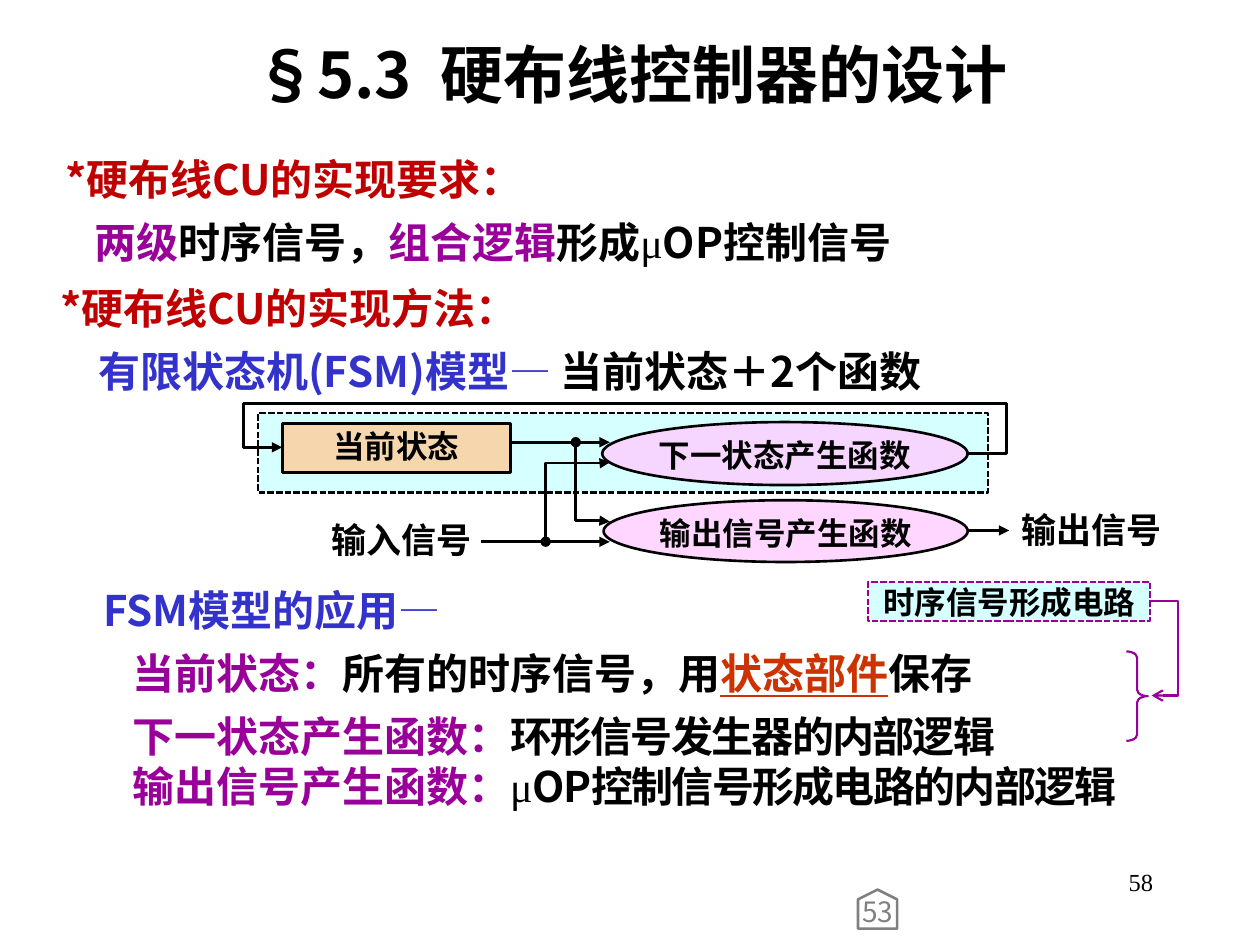
from lxml.etree import SubElement
from pptx import Presentation
from pptx.dml.color import RGBColor
from pptx.enum.dml import MSO_LINE
from pptx.enum.shapes import MSO_CONNECTOR, MSO_SHAPE
from pptx.enum.text import MSO_ANCHOR, MSO_AUTO_SIZE, PP_ALIGN
from pptx.oxml.ns import qn
from pptx.util import Inches, Pt


class Theme:
    sans, serif = "Noto Sans CJK SC", "Times New Roman"
    black, red, purple, blue = "000000", "C00000", "990099", "3333CC"
    rust, gray = "CC3300", "808080"
    aqua, peach, pink = "CCFFFF", "FFCC99", "FFCCFF"
    title, body, label, node, tag, page = 36, 24, 20, 18, 16, 14
    thick, thin = 1.5, 1.25


T = Theme
MID, TOP = MSO_ANCHOR.MIDDLE, MSO_ANCHOR.TOP
TIGHT = (0.02, 0.01, 0.02, 0.01)
SERIF = {"font": T.serif, "bold": False}

# Content: (box, [(indent, line spacing, [(text, colour, extras)])])
TITLE = [("§5.3", T.black, {}), (" ", T.black, {"gap": 8}),
         ("硬布线控制器的设计", T.black, {})]
BODY = [
    ((0.2, 1.07, 9.61, 1.11), [
        (0.22, 1.25, [("*硬布线CU的实现要求：", T.red, {})]),
        (0.45, 1.25, [("两级", T.purple, {"font": T.serif}),
                      ("时序信号，", T.black, {"font": T.serif}),
                      ("组合逻辑", T.purple, {}), ("形成", T.black, {}),
                      ("μ", T.black, SERIF), ("OP控制信号", T.black, {})]),
    ]),
    ((0.16, 2.09, 9.61, 1.11), [
        (0.22, 1.25, [("*硬布线CU的实现方法：", T.red, {})]),
        (0.52, 1.25, [("有限状态机(FSM)模型", T.blue, {}), ("— ", T.blue, SERIF),
                      ("当前状态＋2个函数", T.black, {})]),
    ]),
    ((0.2, 4.49, 9.61, 2.02), [
        (0.52, 1.25, [("FSM模型的应用", T.blue, {}), ("—", T.blue, SERIF)]),
        (0.75, 1.25, [("当前状态：", T.purple, {}),
                      ("所有的时序信号，用", T.black, {}),
                      ("状态部件", T.rust, {"under": True}),
                      ("保存", T.black, {})]),
        (0.75, 1.25, [("下一状态产生函数：", T.purple, {}),
                      ("环形信号发生器的内部逻辑", T.black, {"gap": -1})]),
        (0.75, 1.0, [("输出信号产生函数：", T.purple, {}),
                     ("μ", T.black, dict(SERIF, gap=-1)),
                     ("OP控制信号形成电路的内部逻辑", T.black, {"gap": -1})]),
    ]),
]
LABELS = [("输入信号", (2.56, 4.11, 1.26, 0.35)),
          ("输出信号", (7.99, 4.03, 1.35, 0.35))]
STATE = ("当前状态", (2.24, 3.36, 1.81, 0.39))
OVALS = [("下一状态产生函数", (4.78, 3.35, 2.9, 0.5)),
         ("输出信号产生函数", (4.79, 3.97, 2.89, 0.49))]
TIMING = ("时序信号形成电路", (6.89, 4.62, 2.24, 0.31))

# Links: start, end, options
LINKS = [
    ((4.06, 3.51), (4.84, 3.51), {"tail": "triangle"}),
    ((4.57, 3.51), (4.84, 4.14), {"bend": 3, "turn": 270, "flip": "H", "adj": [0.99],
                                  "head": "oval", "tail": "triangle"}),
    ((3.82, 4.3), (4.84, 4.3), {"tail": "triangle"}),
    ((4.33, 4.3), (4.84, 3.67), {"bend": 3, "turn": 90, "flip": "HV", "adj": [0.99],
                                 "head": "oval", "tail": "triangle"}),
    ((7.68, 4.21), (8.01, 4.21), {"tail": "triangle"}),
    ((7.68, 3.6), (7.99, 3.2), {"bend": 2, "flip": "V"}),
    ((1.93, 3.2), (7.99, 3.2), {}),
    ((1.93, 3.2), (2.24, 3.55), {"bend": 2, "turn": 270, "flip": "H",
                                 "tail": "triangle"}),
    ((9.13, 4.77), (9.14, 5.52), {"bend": 4, "adj": [22, 1], "tail": "arrow",
                                  "tint": T.purple, "wide": T.thin}),
]

deck = Presentation()
deck.slide_width, deck.slide_height = Inches(10), Inches(7.5)
slide = deck.slides.add_slide(deck.slide_layouts[6])
shapes = slide.shapes


def color(tint):
    return RGBColor.from_string(tint)


def write(para, text, size, tint=T.black, font=T.sans, bold=True, under=False, gap=0):
    run = para.add_run()
    run.text = text
    face = run.font
    face.size, face.bold, face.name = Pt(size), bold, font
    face.color.rgb = color(tint)
    if under:
        face.underline = True
    props = run._r.get_or_add_rPr()
    SubElement(props, qn("a:ea")).set("typeface", T.sans)
    if gap:
        props.set("spc", str(gap * 100))


def setup(frame, anchor=TOP, pad=(0.1, 0.05, 0.1, 0.05), align=PP_ALIGN.CENTER):
    frame.word_wrap, frame.vertical_anchor = True, anchor
    (frame.margin_left, frame.margin_top,
     frame.margin_right, frame.margin_bottom) = map(Inches, pad)
    para = frame.paragraphs[0]
    para.alignment = align
    return para


def textbox(box, **opts):
    frame = shapes.add_textbox(*map(Inches, box)).text_frame
    return frame, setup(frame, **opts)


def block(kind, box, fill=None, tint=T.black, wide=T.thick, dash=False):
    shape = shapes.add_shape(kind, *map(Inches, box))
    shape.shadow.inherit = False
    if fill:
        shape.fill.solid()
        shape.fill.fore_color.rgb = color(fill)
        solid = shape._element.spPr.find(qn("a:solidFill"))
        SubElement(solid[0], qn("a:alpha")).set("val", "80000")
    else:
        shape.fill.background()
    shape.line.color.rgb, shape.line.width = color(tint), Pt(wide)
    if dash:
        shape.line.dash_style = MSO_LINE.SQUARE_DOT
    return shape


def link(start, end, bend=0, turn=0, flip="", adj=(), head=None, tail=None,
         tint=T.black, wide=T.thick):
    (x1, y1), (x2, y2) = start, end
    w, h = abs(x2 - x1), abs(y2 - y1)
    if turn in (90, 270):
        w, h = h, w
    left, top = (x1 + x2 - w) / 2, (y1 + y2 - h) / 2
    kind = MSO_CONNECTOR.ELBOW if bend else MSO_CONNECTOR.STRAIGHT
    wire = shapes.add_connector(kind, *map(Inches, (left, top, left + w, top + h)))
    wire.line.color.rgb, wire.line.width = color(tint), Pt(wide)
    props = wire._element.spPr
    frame, geom = props.find(qn("a:xfrm")), props.find(qn("a:prstGeom"))
    if turn:
        frame.set("rot", str(turn * 60000))
    for axis in flip:
        frame.set("flip" + axis, "1")
    if bend:
        geom.set("prst", f"bentConnector{bend}")
    for i, part in enumerate(adj, 1):
        guide = SubElement(geom.find(qn("a:avLst")), qn("a:gd"))
        guide.set("name", f"adj{i}")
        guide.set("fmla", f"val {round(part * 100000)}")
    for name, tip in (("headEnd", head), ("tailEnd", tail)):
        if tip:
            SubElement(props.find(qn("a:ln")), qn("a:" + name)).set("type", tip)
    SubElement(props, qn("a:effectLst"))


# Page number and title
para = textbox((7.17, 6.83, 2.08, 0.5), align=PP_ALIGN.RIGHT)[1]
write(para, "58", T.page, font=T.serif, bold=False)
para = textbox((0.92, 0.23, 8.17, 0.7))[1]
for text, tint, more in TITLE:
    write(para, text, T.title, tint, **more)

# Body text
for box, lines in BODY:
    frame, para = textbox(box, align=PP_ALIGN.LEFT)
    frame.auto_size = MSO_AUTO_SIZE.SHAPE_TO_FIT_TEXT
    for i, (inset, space, runs) in enumerate(lines):
        para = frame.add_paragraph() if i else para
        para.line_spacing = space
        para._p.get_or_add_pPr().set("marL", str(Inches(inset)))
        for text, tint, more in runs:
            write(para, text, T.body, tint, **more)

# State machine diagram
block(MSO_SHAPE.RECTANGLE, (2.05, 3.28, 5.79, 0.63), T.aqua, wide=T.thin, dash=True)
text, box = STATE
para = setup(block(MSO_SHAPE.RECTANGLE, box, T.peach).text_frame, MID, TIGHT)
para.line_spacing = 0.9
write(para, text, T.node)
for text, box in OVALS:
    para = setup(block(MSO_SHAPE.OVAL, box, T.pink).text_frame, pad=(0, 0.04, 0, 0.04))
    write(para, text, T.node, font=T.serif)
for text, box in LABELS:
    write(textbox(box, anchor=MID, pad=TIGHT)[1], text, T.label)

# Timing circuit and brace
brace = block(MSO_SHAPE.RIGHT_BRACE, (8.94, 5.17, 0.17, 0.71), tint=T.purple, wide=T.thin)
brace.adjustments[0] = 0.29
text, box = TIMING
timer = block(MSO_SHAPE.RECTANGLE, box, T.aqua, T.purple, T.thin, True)
write(setup(timer.text_frame, MID), text, T.node)

# Wires
for start, end, opts in LINKS:
    link(start, end, **opts)

# Page tag
tag = block(MSO_SHAPE.PENTAGON, (6.81, 7.06, 0.31, 0.31), tint=T.gray)
tag.rotation, tag.adjustments[0] = 270, 0.25
para = setup(tag.text_frame, MID, (0, 0, 0, 0))
tag.text_frame.word_wrap = False
tag.text_frame._txBody.bodyPr.set("vert", "vert")
write(para, "53", T.tag, T.gray, bold=False)

deck.save("out.pptx")
